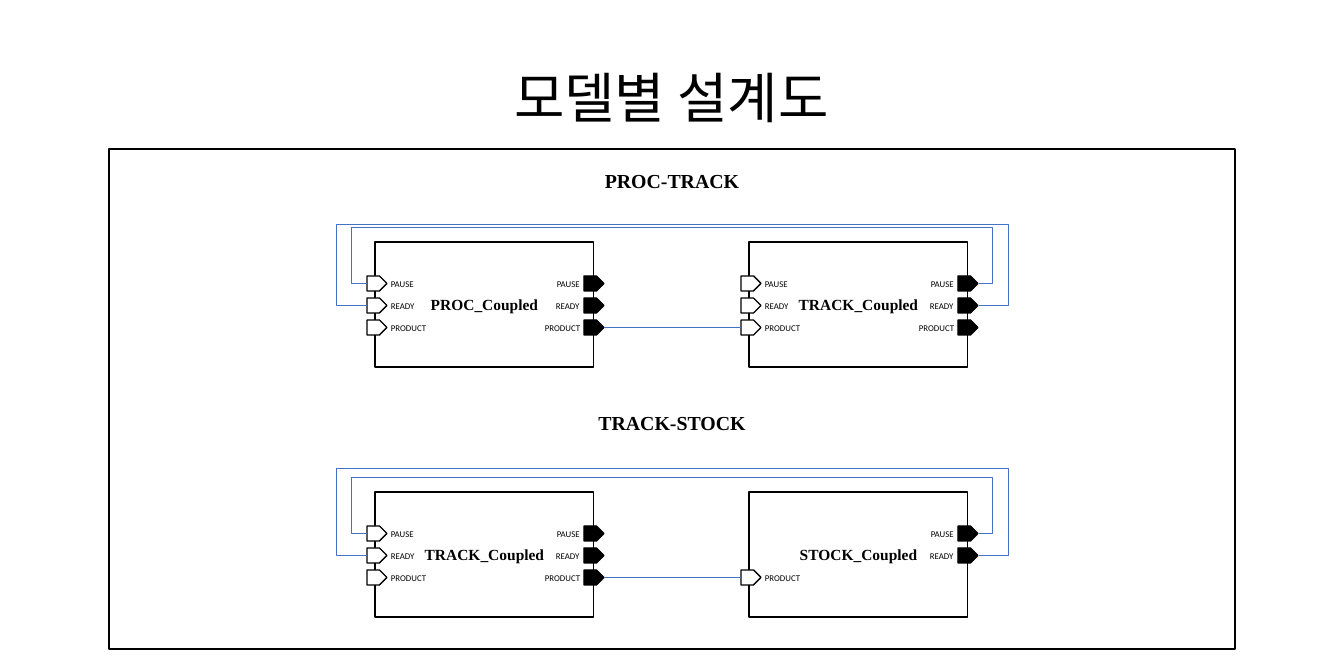
import pptx
import pptx.util
import pptx.dml.color
import pptx.enum.shapes
import pptx.enum.text
import lxml.etree

RGB = pptx.dml.color.RGBColor
KIND = pptx.enum.shapes.MSO_SHAPE
ALIGN = pptx.enum.text.PP_ALIGN
MID = pptx.enum.text.MSO_ANCHOR.MIDDLE
FIT = pptx.enum.text.MSO_AUTO_SIZE.SHAPE_TO_FIT_TEXT
Pt = pptx.util.Pt

BLACK = RGB(0, 0, 0)
WHITE = RGB(255, 255, 255)
BLUE = RGB(0x44, 0x72, 0xC4)

SCALE = 914400 / 79.4
BOX_W, BOX_H = 219, 125
PORT_W, PORT_H = 20, 15
LEFT, RIGHT = 375, 749

TITLE = {"size": Pt(49.7), "name": "Calibri"}
HEAD = {"size": Pt(18), "name": "Times New Roman", "bold": True}
NAME = {"size": Pt(14), "name": "Times New Roman", "bold": True}
LABEL = {"size": Pt(8), "name": "Calibri"}

# Port: offset down the box, label width, offset of the output label
PORTS = {"PAUSE": (34, 40, 174), "READY": (56, 40, 173),
         "PRODUCT": (78, 52, 162)}
ALL = tuple(PORTS)


def px(num):
    return round(num * SCALE)


def write(frame, text, style, align=ALIGN.CENTER):
    part = frame.paragraphs[0]
    part.alignment = align
    run = part.add_run()
    run.text = text
    run.font.color.rgb = BLACK
    for key, value in style.items():
        setattr(run.font, key, value)


def add_text(slide, text, area, style, wrap=True, align=ALIGN.CENTER,
             **form):
    frame = slide.shapes.add_textbox(*map(px, area)).text_frame
    frame.word_wrap = wrap
    for key, value in form.items():
        setattr(frame, key, value)
    write(frame, text, style, align)
    return frame


def add_block(slide, kind, area, width, fill=None):
    block = slide.shapes.add_shape(kind, *map(px, area))
    block.shadow.inherit = False
    if fill is None:
        block.fill.background()
    else:
        block.fill.solid()
        block.fill.fore_color.rgb = fill
    block.line.color.rgb = BLACK
    block.line.width = Pt(width)
    return block


def add_port(slide, text, left, top, out):
    down, wide, shift = PORTS[text]
    area = (left + (209 if out else -8), top + down, PORT_W, PORT_H)
    port = add_block(slide, KIND.PENTAGON, area, 1.25,
                     BLACK if out else WHITE)
    add_text(slide, text,
             (left + (shift if out else 8), top + down - 2, wide, 19),
             LABEL, wrap=False, align=ALIGN.LEFT,
             vertical_anchor=MID, auto_size=FIT)
    return port


def add_model(slide, name, left, top, inputs, outputs):
    box = add_block(slide, KIND.RECTANGLE, (left, top, BOX_W, BOX_H), 1, WHITE)
    box.text_frame.vertical_anchor = MID
    write(box.text_frame, name, NAME)
    ins = {text: add_port(slide, text, left, top, False) for text in inputs}
    outs = {text: add_port(slide, text, left, top, True) for text in outputs}
    return ins, outs


def add_loop(slide, left, right, peak, base):
    """Feedback line from an output on the right to an input on the left."""
    path = slide.shapes.build_freeform(px(979), px(base), scale=1.0)
    spots = [(right, base), (right, peak), (left, peak), (left, base),
             (367, base)]
    path.add_line_segments([(px(x), px(y)) for x, y in spots], close=False)
    loop = path.convert_to_shape()
    loop.shadow.inherit = False
    loop.fill.background()
    loop.line.color.rgb = BLUE
    loop.line.width = Pt(0.5)


def add_link(slide, start, end):
    line = slide.shapes.add_connector(
        pptx.enum.shapes.MSO_CONNECTOR.STRAIGHT, 0, 0, 0, 0)
    line.begin_connect(start, 3)
    line.end_connect(end, 1)
    line.line.color.rgb = BLUE
    line.line.width = Pt(0.5)
    lxml.etree.SubElement(line.element.spPr,
                          pptx.oxml.ns.qn("a:effectLst"))


def add_pair(slide, head, head_top, top, first, second, peaks, inputs,
             outputs):
    add_text(slide, head, (36, head_top, 1272, 32), HEAD, auto_size=FIT)
    source = add_model(slide, first, LEFT, top, ALL, ALL)
    target = add_model(slide, second, RIGHT, top, inputs, outputs)
    add_loop(slide, 351, 992, peaks[0], top + 41)
    add_loop(slide, 336, 1008, peaks[1], top + 63)
    add_link(slide, source[1]["PRODUCT"], target[0]["PRODUCT"])


def main():
    deck = pptx.Presentation()
    deck.slide_width, deck.slide_height = px(1344), px(672)
    slide = deck.slides.add_slide(deck.slide_layouts[6])

    # Title and frame
    title = add_text(slide, "모델별 설계도", (92, 36, 1159, 130), TITLE,
                     vertical_anchor=MID)
    title.paragraphs[0].line_spacing = 0.9
    add_block(slide, KIND.RECTANGLE, (109, 149, 1126, 500), 1.25)

    # Coupled model pairs
    add_pair(slide, "PROC-TRACK", 165, 242, "PROC_Coupled", "TRACK_Coupled",
             (227, 224), ALL, ALL)
    add_pair(slide, "TRACK-STOCK", 407, 492, "TRACK_Coupled", "STOCK_Coupled",
             (477, 468), ("PRODUCT",), ("PAUSE", "READY"))

    deck.save("out.pptx")


main()
